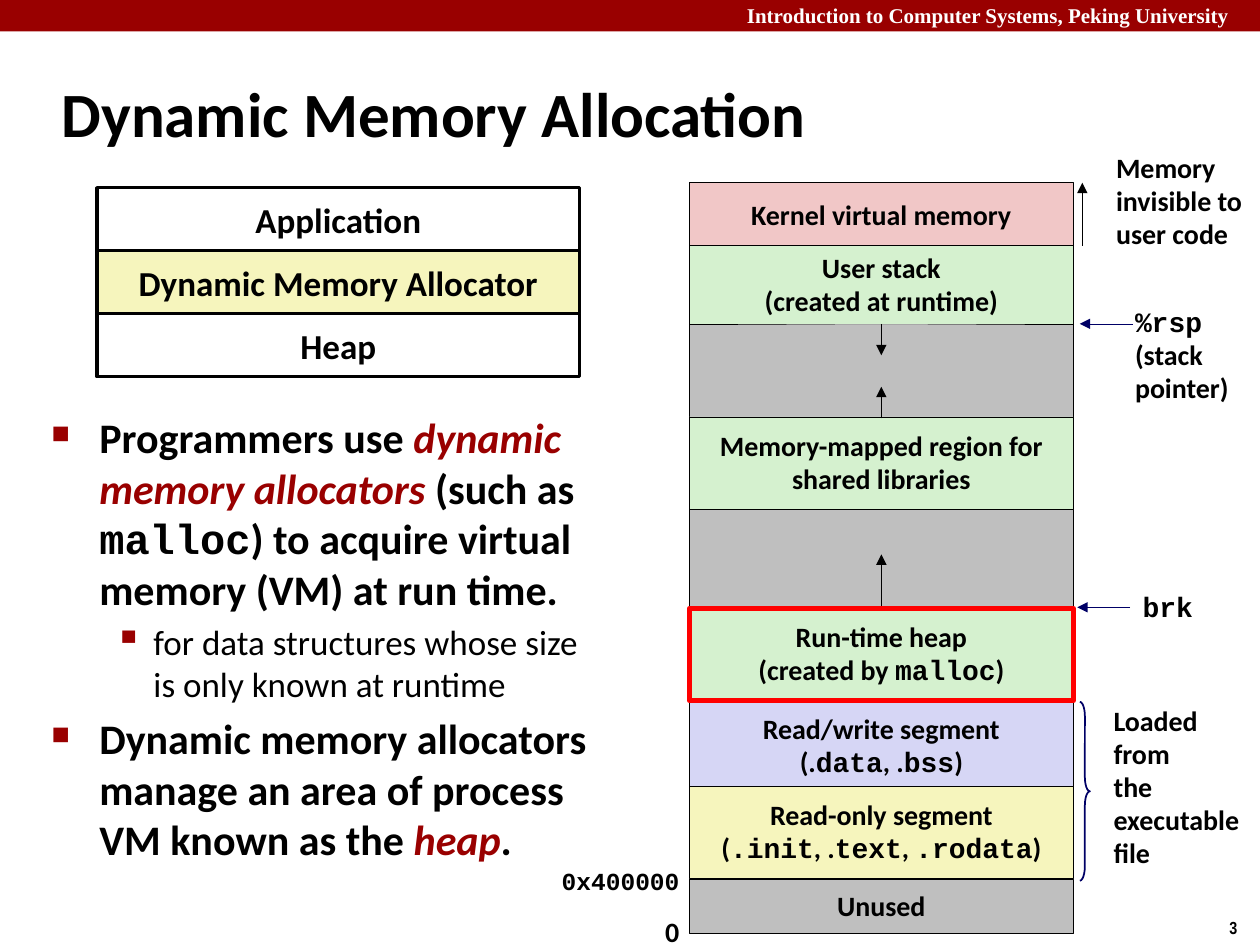
from dataclasses import dataclass

from lxml.etree import SubElement
from pptx import Presentation
from pptx.dml.color import RGBColor
from pptx.enum.shapes import MSO_CONNECTOR, MSO_SHAPE
from pptx.enum.text import MSO_ANCHOR, PP_ALIGN
from pptx.oxml.ns import qn
from pptx.util import Inches, Pt


@dataclass(frozen=True)
class Theme:
    sans: str = "Calibri"
    mono: str = "Courier New"
    serif: str = "Times New Roman"
    narrow: str = "Arial Narrow"
    black: str = "000000"
    white: str = "FFFFFF"
    accent: str = "990000"
    navy: str = "000066"
    highlight: str = "FF0000"
    pink: str = "F1C7C7"
    green: str = "D5F1CF"
    gray: str = "BFBFBF"
    lilac: str = "D6D6F5"
    yellow: str = "F6F5BD"
    title_size: int = 36
    body_size: int = 24
    sub_size: int = 20
    layer_size: int = 20
    label_size: int = 16
    address_size: int = 14
    header_size: int = 12
    number_size: int = 10


THEME = Theme()
MEMORY_LEFT, MEMORY_WIDTH = 5.47, 3.05
LAYER_HEIGHT = 0.5


def code(text):
    return text, {"font": THEME.mono}


def em(text):
    return text, {"color": THEME.accent, "italic": True}


def write(paragraph, runs, *, size=THEME.label_size, font=THEME.sans,
          color=THEME.black, bold=True, italic=False, align=PP_ALIGN.LEFT,
          line_spacing=None):
    """Fill a paragraph from a string or a list of strings and (text, format) pairs."""
    paragraph.alignment = align
    if line_spacing:
        paragraph.line_spacing = line_spacing
    base = {"font": font, "color": color, "italic": italic}
    for part in [runs] if isinstance(runs, (str, tuple)) else runs:
        text, own = (part, {}) if isinstance(part, str) else part
        style = {**base, **own}
        run = paragraph.add_run()
        run.text = text
        run.font.name = style["font"]
        run.font.size = Pt(size)
        run.font.bold = bold
        run.font.italic = style["italic"]
        run.font.color.rgb = RGBColor.from_string(style["color"])


def fill_frame(frame, lines, *, anchor=MSO_ANCHOR.TOP, wrap=False, **style):
    """Write one paragraph per line."""
    frame.word_wrap = wrap
    frame.vertical_anchor = anchor
    for index, line in enumerate(lines):
        paragraph = frame.add_paragraph() if index else frame.paragraphs[0]
        write(paragraph, line, **style)


def add_label(slide, box, *lines, **style):
    label = slide.shapes.add_textbox(*map(Inches, box))
    fill_frame(label.text_frame, lines, **style)
    return label


def add_block(slide, box, fill, *lines, line=None, line_width=0.25,
              preset=MSO_SHAPE.RECTANGLE, **style):
    block = slide.shapes.add_shape(preset, *map(Inches, box))
    block.shadow.inherit = False
    if fill:
        block.fill.solid()
        block.fill.fore_color.rgb = RGBColor.from_string(fill)
    else:
        block.fill.background()
    if line:
        block.line.color.rgb = RGBColor.from_string(line)
        block.line.width = Pt(line_width)
    else:
        block.line.fill.background()
    if lines:
        fill_frame(block.text_frame, lines, anchor=MSO_ANCHOR.MIDDLE,
                   align=PP_ALIGN.CENTER, **style)
    return block


def add_arrow(slide, start, end, color=THEME.black):
    arrow = slide.shapes.add_connector(
        MSO_CONNECTOR.STRAIGHT, *map(Inches, (*start, *end)))
    arrow.line.color.rgb = RGBColor.from_string(color)
    arrow.line.width = Pt(0.25)
    SubElement(arrow.line._get_or_add_ln(), qn("a:tailEnd"), type="triangle")
    SubElement(arrow._element.spPr, qn("a:effectLst"))


def add_bullet(paragraph, mark, size_percent, indent, hanging):
    properties = paragraph._p.get_or_add_pPr()
    properties.set("marL", str(Inches(indent)))
    properties.set("indent", str(-Inches(hanging)))
    bullet_color = SubElement(properties, qn("a:buClr"))
    SubElement(bullet_color, qn("a:srgbClr"), val=THEME.accent)
    SubElement(properties, qn("a:buSzPct"), val=str(size_percent * 1000))
    SubElement(properties, qn("a:buChar"), char=mark)


def add_header(slide):
    add_block(slide, (0, 0, 10, 0.25), THEME.accent)
    add_label(slide, (5.83, -0.03, 4.24, 0.3),
              "Introduction to Computer Systems, Peking University",
              font=THEME.serif, size=THEME.header_size, color=THEME.white, wrap=True)
    add_label(slide, (9.66, 7.23, 0.34, 0.27), "3",
              font=THEME.narrow, size=THEME.number_size)
    add_label(slide, (0.39, 0.48, 8.3, 0.83), "Dynamic Memory Allocation",
              size=THEME.title_size, anchor=MSO_ANCHOR.MIDDLE, wrap=True)


def add_layers(slide):
    layers = [("Application", THEME.white),
              ("Dynamic Memory Allocator", THEME.yellow),
              ("Heap", THEME.white)]
    for row, (name, fill) in enumerate(layers):
        add_block(slide, (0.77, 1.49 + row * LAYER_HEIGHT, 3.83, LAYER_HEIGHT),
                  fill, name, line=THEME.black, line_width=2, size=THEME.layer_size)


def add_body(slide):
    points = [
        (0, ["Programmers use ", em("dynamic memory allocators "), "(such as ",
             code("malloc"), ") to acquire virtual memory (VM) at run time."]),
        (1, "for data structures whose size is only known at runtime"),
        (0, ["Dynamic memory allocators manage an area of process VM known as the ",
             em("heap"), "."]),
    ]
    body = add_label(slide, (0.31, 3.22, 4.48, 4.17), wrap=True).text_frame
    for index, (level, runs) in enumerate(points):
        paragraph = body.add_paragraph() if index else body.paragraphs[0]
        size = THEME.sub_size if level else THEME.body_size
        if index:
            paragraph.space_before = Pt(0.2 * size)
        if level:
            paragraph.level = level
            add_bullet(paragraph, "▪", 110, 0.81, 0.31)
        else:
            add_bullet(paragraph, "■", 60, 0.38, 0.38)
        write(paragraph, runs, size=size, bold=not level)


def add_memory_map(slide):
    regions = [
        (1.45, 0.53, THEME.pink, ["Kernel virtual memory"]),
        (2.32, 0.99, THEME.gray, []),
        (1.95, 0.62, THEME.green, ["User stack", "(created at runtime)"]),
        (3.31, 0.73, THEME.green, ["Memory-mapped region for", "shared libraries"]),
        (4.04, 0.79, THEME.gray, []),
        (5.56, 0.73, THEME.lilac, ["Read/write segment",
         ["(.", code("data"), ", .", code("bss"), ")"]]),
        (6.24, 0.73, THEME.yellow, ["Read-only segment",
         ["(", code(".init"), ", .", code("text"), ", ", code(".rodata"), ")"]]),
        (6.98, 0.43, THEME.gray, ["Unused"]),
    ]
    for top, height, fill, lines in regions:
        add_block(slide, (MEMORY_LEFT, top, MEMORY_WIDTH, height), fill, *lines,
                  line=THEME.black, line_spacing=0.98)

    middle = MEMORY_LEFT + MEMORY_WIDTH / 2
    for x, start, end in [(middle, 2.57, 2.82), (middle, 3.32, 3.07),
                          (middle, 4.82, 4.4), (8.59, 1.95, 1.45)]:
        add_arrow(slide, (x, start), (x, end))
    add_arrow(slide, (8.99, 2.57), (8.57, 2.57), THEME.navy)
    add_arrow(slide, (8.97, 4.82), (8.55, 4.82), THEME.navy)

    add_block(slide, (MEMORY_LEFT, 4.83, MEMORY_WIDTH, 0.73), THEME.green,
              "Run-time heap", ["(created by ", code("malloc"), ")"],
              line=THEME.highlight, line_width=3, line_spacing=0.98)


def add_annotations(slide):
    labels = [
        ((8.76, 1.16, 1.26, 0.89), ["Memory", "invisible to", "user code"]),
        ((8.91, 2.38, 0.95, 0.88), [code("%rsp"), "(stack", "pointer)"]),
        ((8.97, 4.64, 0.6, 0.36), [code("brk")]),
        ((8.74, 5.55, 1.26, 1.42), ["Loaded", "from", "the", "executable", "file"]),
        ((5.18, 7.22, 0.31, 0.37), ["0"]),
    ]
    for box, lines in labels:
        add_label(slide, box, *lines, line_spacing=0.98)
    add_label(slide, (4.36, 6.84, 1.14, 0.33), code("0x400000"),
              size=THEME.address_size, line_spacing=0.94)
    brace = add_block(slide, (8.57, 5.57, 0.08, 1.42), None, line=THEME.navy,
                      line_width=1, preset=MSO_SHAPE.RIGHT_BRACE)
    brace.adjustments[0] = 1.42


def main():
    deck = Presentation()
    deck.slide_width, deck.slide_height = Inches(10), Inches(7.5)
    slide = deck.slides.add_slide(deck.slide_layouts[6])
    add_header(slide)
    add_layers(slide)
    add_body(slide)
    add_memory_map(slide)
    add_annotations(slide)
    deck.save("out.pptx")


if __name__ == "__main__":
    main()
